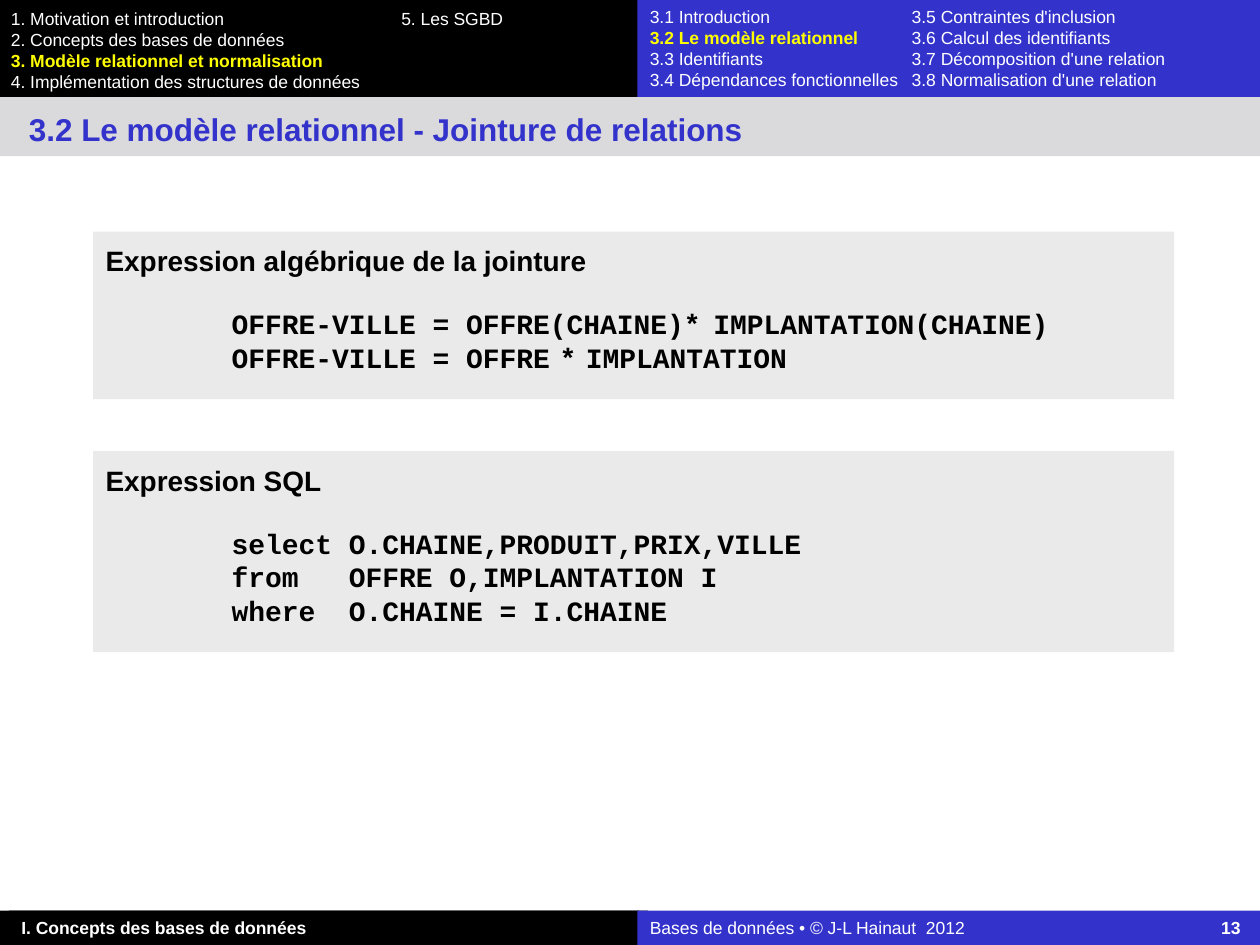
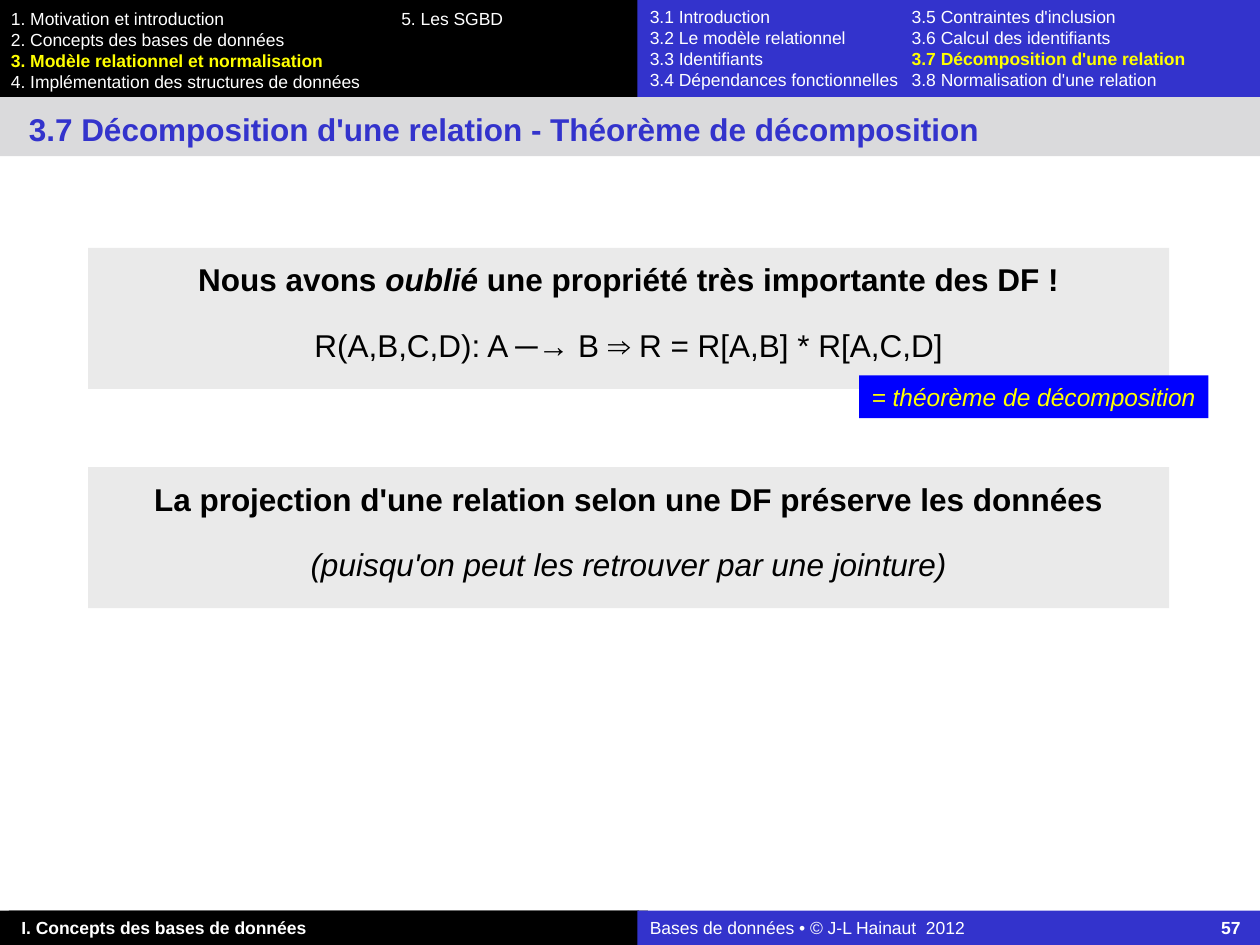
from dataclasses import dataclass
from typing import NamedTuple, Optional

import pptx
import pptx.dml.color
import pptx.enum.shapes
import pptx.enum.text
import pptx.oxml
import pptx.oxml.ns
import pptx.util
from pptx.util import Cm

COLOURS = {
    "black": "000000",
    "white": "FFFFFF",
    "blue": "3333CC",
    "bright_blue": "0000FF",
    "yellow": "FFFF00",
    "band": "DADADC",
    "panel": "EAEAEA",
}
SANS, MONO = "Arial", "Courier New"
LINE_PITCH = 1.2
CENTER = pptx.enum.text.PP_ALIGN.CENTER
LEFT = pptx.enum.text.PP_ALIGN.LEFT

CHAPTERS = [
    ("1. Motivation et introduction", "5. Les SGBD"),
    ("2. Concepts des bases de données", ""),
    ("3. Modèle relationnel et normalisation", ""),
    ("4. Implémentation des structures de données", ""),
]
SECTIONS = [
    ("3.1 Introduction", "3.5 Contraintes d'inclusion"),
    ("3.2 Le modèle relationnel", "3.6 Calcul des identifiants"),
    ("3.3 Identifiants", "3.7 Décomposition d'une relation"),
    ("3.4 Dépendances fonctionnelles", "3.8 Normalisation d'une relation"),
]


class Box(NamedTuple):
    left: float
    top: float
    width: float
    height: float


class Span(NamedTuple):
    text: str
    bold: bool = False
    italic: bool = False
    colour: str = "black"
    font: str = SANS
    size: Optional[float] = None


class Tab(NamedTuple):
    position: float
    side: str = "l"


@dataclass
class Line:
    spans: list[Span]
    size: float = 18
    before: float = 0
    align: pptx.enum.text.PP_ALIGN = LEFT
    tab: Optional[Tab] = None


@dataclass
class Block:
    box: Box
    lines: list[Line]
    fill: Optional[str] = None
    top_inset: float = 0.13
    bottom_inset: float = 0.13
    wrap: bool = True


def rgb(name: str) -> pptx.dml.color.RGBColor:
    return pptx.dml.color.RGBColor.from_string(COLOURS[name])


def place(shape, box: Box) -> None:
    shape.left, shape.top, shape.width, shape.height = map(Cm, box)


def add_tab(paragraph, tab: Tab) -> None:
    properties = paragraph._p.get_or_add_pPr()
    stops = properties.makeelement(pptx.oxml.ns.qn("a:tabLst"), {})
    stop = stops.makeelement(
        pptx.oxml.ns.qn("a:tab"),
        {"pos": str(int(Cm(tab.position))), "algn": tab.side},
    )
    stops.append(stop)
    properties.append(stops)


def write(frame, block: Block) -> None:
    frame.word_wrap = block.wrap
    frame.auto_size = pptx.enum.text.MSO_AUTO_SIZE.NONE
    frame.vertical_anchor = pptx.enum.text.MSO_ANCHOR.TOP
    frame.margin_left = frame.margin_right = Cm(0.25)
    frame.margin_top = Cm(block.top_inset)
    frame.margin_bottom = Cm(block.bottom_inset)
    for index, line in enumerate(block.lines):
        paragraph = frame.add_paragraph() if index else frame.paragraphs[0]
        if line.tab:
            add_tab(paragraph, line.tab)
        paragraph.alignment = line.align
        paragraph.line_spacing = pptx.util.Pt(line.size * LINE_PITCH)
        paragraph.space_before = pptx.util.Pt(line.before)
        for span in line.spans:
            run = paragraph.add_run()
            run.text = span.text
            run.font.name = span.font
            run.font.size = pptx.util.Pt(span.size or line.size)
            run.font.bold = span.bold
            run.font.italic = span.italic
            run.font.color.rgb = rgb(span.colour)


def draw(slide, block: Block) -> None:
    if block.fill:
        shape = slide.shapes.add_shape(
            pptx.enum.shapes.MSO_SHAPE.RECTANGLE, *map(Cm, block.box)
        )
        shape.shadow.inherit = False
        shape.fill.solid()
        shape.fill.fore_color.rgb = rgb(block.fill)
        shape.line.fill.background()
    else:
        shape = slide.shapes.add_textbox(*map(Cm, block.box))
    if block.lines:
        write(shape.text_frame, block)


def menu(rows: list[tuple[str, str]], current: str, column: float) -> list[Line]:
    def entry(text: str) -> Span:
        active = text == current
        return Span(text, bold=active, colour="yellow" if active else "white")

    lines = []
    for first, second in rows:
        spans = [entry(first)]
        if second:
            spans += [Span("\t", colour="white"), entry(second)]
        lines.append(Line(spans, size=10, tab=Tab(column)))
    return lines


def add_page(deck, title: str, section: str, number: int, blocks: list[Block]) -> None:
    slide = deck.slides.add_slide(deck.slide_layouts[5])
    chapter_footer = [
        Line([Span("I. Concepts des bases de données", bold=True, colour="white")], size=10)
    ]
    course_footer = [
        Line(
            [
                Span("Bases de données • © J-L Hainaut  2012\t", colour="white"),
                Span(str(number), bold=True, colour="white"),
            ],
            size=10,
            tab=Tab(11.91, "r"),
        )
    ]
    frame_blocks = [
        Block(Box(0, 0, 12.88, 1.96), [], "black"),
        Block(Box(0, 18.36, 12.88, 0.69), [], "black"),
        Block(Box(0.18, 18.36, 12.88, 0.69), chapter_footer, "black"),
        Block(Box(12.85, 18.36, 12.55, 0.69), course_footer, "blue"),
        Block(Box(-0.03, 0.03, 12.88, 1.96), menu(CHAPTERS, CHAPTERS[2][0], 7.87)),
        Block(Box(12.85, 0, 12.55, 1.96), [], "blue"),
        Block(Box(0, 1.96, 25.4, 1.19), [], "band"),
    ]
    for block in frame_blocks:
        draw(slide, block)

    heading = slide.shapes.title
    slide.shapes.element.append(heading.element)
    title_box = Box(0.33, 2.08, 23.7, 1.02)
    place(heading, title_box)
    write(
        heading.text_frame,
        Block(title_box, [Line([Span(title, bold=True, colour="blue")])]),
    )

    draw(slide, Block(Box(12.85, 0, 12.55, 1.96), menu(SECTIONS, section, 5.28)))
    for block in blocks:
        draw(slide, block)


def panel(box: Box, lines: list[Line]) -> Block:
    return Block(box, lines, "panel", top_inset=0.25, bottom_inset=0.51)


def code(text: str, size: Optional[float] = None) -> Span:
    return Span(text, bold=True, font=MONO, size=size)


def code_panel(box: Box, heading: str, code_lines: list[list[Span]]) -> Block:
    lines = [Line([Span(heading, bold=True)], size=16)]
    for index, spans in enumerate(code_lines):
        lines.append(
            Line([code("\t"), *spans], size=16, before=0 if index else 16.8, tab=Tab(2.54))
        )
    return panel(box, lines)


def statement_panel(top: float, statement: list[Span], detail: Span) -> Block:
    return panel(
        Box(1.78, top, 21.79, 2.84),
        [Line(statement, align=CENTER), Line([detail], before=16, align=CENTER)],
    )


def main() -> None:
    deck = pptx.Presentation()
    deck.slide_width, deck.slide_height = Cm(25.4), Cm(19.05)

    algebra = [
        [code("OFFRE-VILLE = OFFRE(CHAINE)*"), code(" ", 12), code("IMPLANTATION(CHAINE)")],
        [code("OFFRE-VILLE = OFFRE"), code(" ", 9), code("*"), code(" ", 9), code("IMPLANTATION")],
    ]
    query = [
        [code("select O.CHAINE,PRODUIT,PRIX,VILLE")],
        [code("from   OFFRE O,IMPLANTATION I")],
        [code("where  O.CHAINE = I.CHAINE")],
    ]
    add_page(
        deck,
        "3.2 Le modèle relationnel - Jointure de relations",
        SECTIONS[1][0],
        13,
        [
            code_panel(
                Box(1.88, 4.67, 21.79, 3.38), "Expression algébrique de la jointure", algebra
            ),
            code_panel(Box(1.88, 9.09, 21.79, 4.06), "Expression SQL", query),
        ],
    )

    forgotten = [
        Span("Nous avons ", bold=True),
        Span("oublié", bold=True, italic=True),
        Span(" une propriété très importante des DF !", bold=True),
    ]
    preserved = [
        Span("La projection d'une relation selon une DF préserve les données", bold=True)
    ]
    theorem_name = Span("= théorème de décomposition", italic=True, colour="yellow")
    add_page(
        deck,
        "3.7 Décomposition d'une relation - Théorème de décomposition",
        SECTIONS[2][1],
        57,
        [
            statement_panel(
                5, forgotten, Span("R(A,B,C,D): A ─→ B ⇒ R = R[A,B] * R[A,C,D]")
            ),
            statement_panel(
                9.42,
                preserved,
                Span("(puisqu'on peut les retrouver par une jointure)", italic=True),
            ),
            Block(
                Box(17.32, 7.57, 7.04, 0.86),
                [Line([theorem_name], size=14)],
                "bright_blue",
                wrap=False,
            ),
        ],
    )
    deck.save("out.pptx")


if __name__ == "__main__":
    main()
